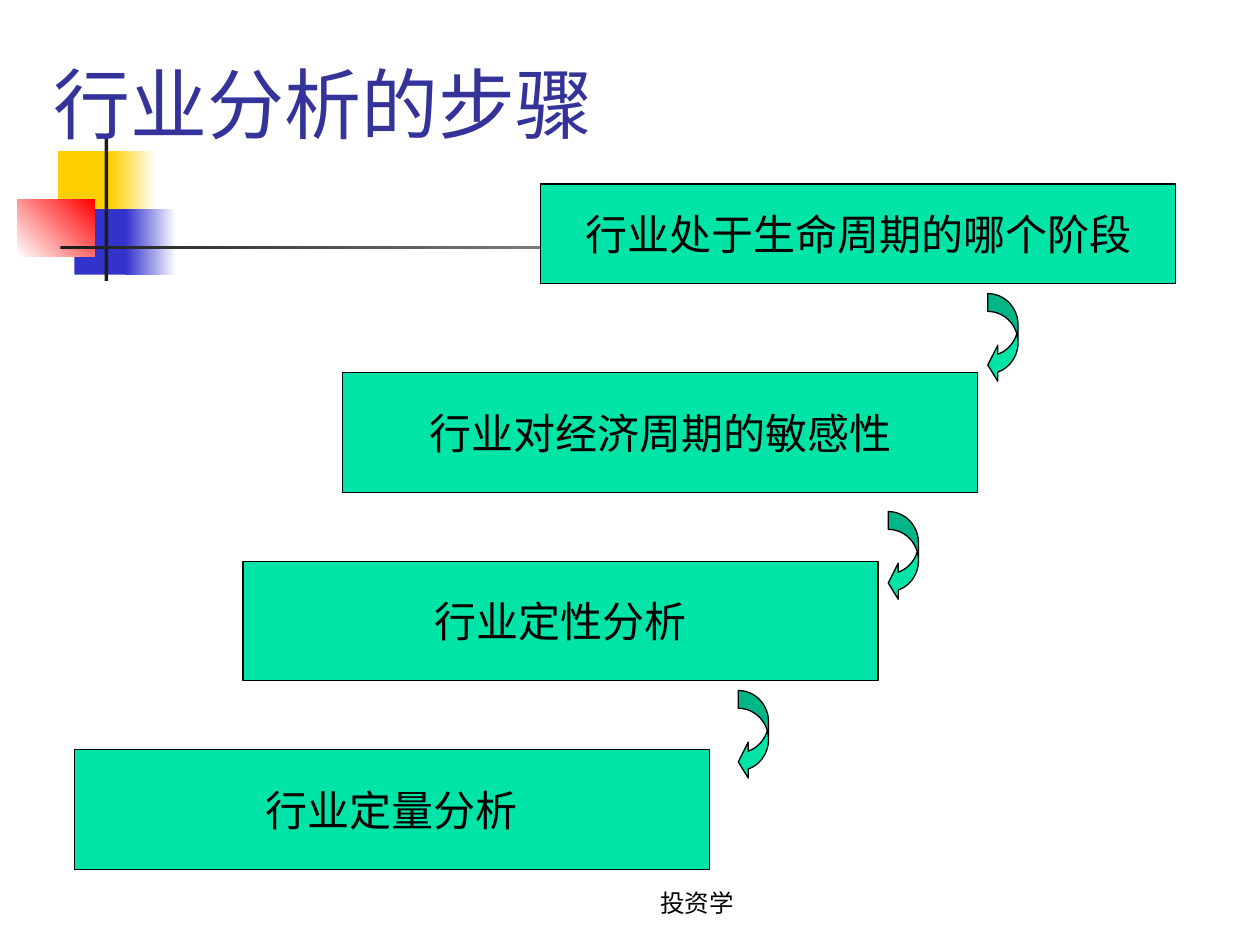
from pptx import Presentation, util as u
from pptx.dml.color import RGBColor
from pptx.enum import shapes, text
from lxml import etree

HUES = {"gold": "FFCF01", "blue": "3333CC", "red": "FF0000", "dark": "1C1C1C",
        "white": "FFFFFF", "mint": "00E4A8", "black": "000000", "title": "333399"}
FONT = "Roboto"
WIDE, HIGH = 10, 7.5

DECOR = [
    ((0.46, 1.2, 0.48, 0.52), ("gold",), 0),
    ((0.88, 1.2, 0.36, 0.52), ("gold", "white"), 0),
    ((0.59, 1.66, 0.46, 0.52), ("blue",), 0),
    ((1, 1.66, 0.4, 0.52), ("blue", "white"), 0),
    ((0.14, 1.58, 0.61, 0.46), ("white", "red"), 45),
    ((0.83, 1.08, 0.03, 1.15), ("dark",), 0),
    ((0.48, 1.95, 9, 0.03), ("dark", "white"), 0),
]
TITLE = "行业分析的步骤"
FOOT = "投资学"
STEPS = [
    ("行业处于生命周期的哪个阶段", 4.29, 0.79),
    ("行业对经济周期的敏感性", 2.72, 0.95),
    ("行业定性分析", 1.93, 0.95),
    ("行业定量分析", 0.59, 0.95),
]
STEP_W, FIRST, PITCH = 5.04, 1.46, 1.497
ARROWS = [(7.84, 2.33), (7.05, 4.06), (5.86, 5.48)]
ARROW_W, ARROW_H = 0.24, 0.71
BENDS = (0.59, 1.19, 0.33)


def hue(name):
    return RGBColor.from_string(HUES[name])


def place(box):
    return [u.Inches(n) for n in box]


def draw(kind, box, tones, angle=0, edge=False):
    shape = slide.shapes.add_shape(kind, *place(box))
    shape.shadow.inherit = False
    if len(tones) == 1:
        shape.fill.solid()
        shape.fill.fore_color.rgb = hue(tones[0])
    else:
        shape.fill.gradient()
        shape.fill.gradient_angle = angle
        for stop, tone in zip(shape.fill.gradient_stops, tones):
            stop.color.rgb = hue(tone)
    if edge:
        shape.line.color.rgb = hue("black")
        shape.line.width = u.Pt(0.75)
    else:
        shape.line.fill.background()
    return shape


def write(shape, words, size, tone, align, anchor, wrap=True):
    frame = shape.text_frame
    frame.word_wrap = wrap
    frame.vertical_anchor = anchor
    para = frame.paragraphs[0]
    para.alignment = align
    run = para.add_run()
    run.text = words
    run.font.size = u.Pt(size)
    run.font.name = FONT
    run.font.color.rgb = hue(tone)
    latin = run.font._element.find("{*}latin")
    east = etree.Element(latin.tag.replace("latin", "ea"), typeface=FONT)
    latin.addnext(east)
    return frame


deck = Presentation()
deck.slide_width, deck.slide_height = place((WIDE, HIGH))
slide = deck.slides.add_slide(deck.slide_layouts[6])
KIND, ALIGN, ANCHOR = shapes.MSO_SHAPE, text.PP_ALIGN, text.MSO_ANCHOR

for box, tones, angle in DECOR:
    draw(KIND.RECTANGLE, box, tones, angle)

foot = slide.shapes.add_textbox(*place((4, 6.83, 3.17, 0.5)))
frame = write(foot, FOOT, 14, "black", ALIGN.CENTER, ANCHOR.BOTTOM)
frame.margin_right = u.Inches(0.2)
head = slide.shapes.add_textbox(*place((0.33, 0.25, 9.34, 0.98)))
write(head, TITLE, 44, "title", ALIGN.LEFT, ANCHOR.BOTTOM)

for row, (words, left, tall) in enumerate(STEPS):
    card = draw(KIND.RECTANGLE, (left, FIRST + row * PITCH, STEP_W, tall),
                ("mint",), edge=True)
    write(card, words, 24, "black", ALIGN.CENTER, ANCHOR.MIDDLE, False)

for left, top in ARROWS:
    arrow = draw(KIND.CURVED_LEFT_ARROW, (left, top, ARROW_W, ARROW_H),
                 ("mint",), edge=True)
    for spot, bend in enumerate(BENDS):
        arrow.adjustments[spot] = bend

deck.save("out.pptx")
